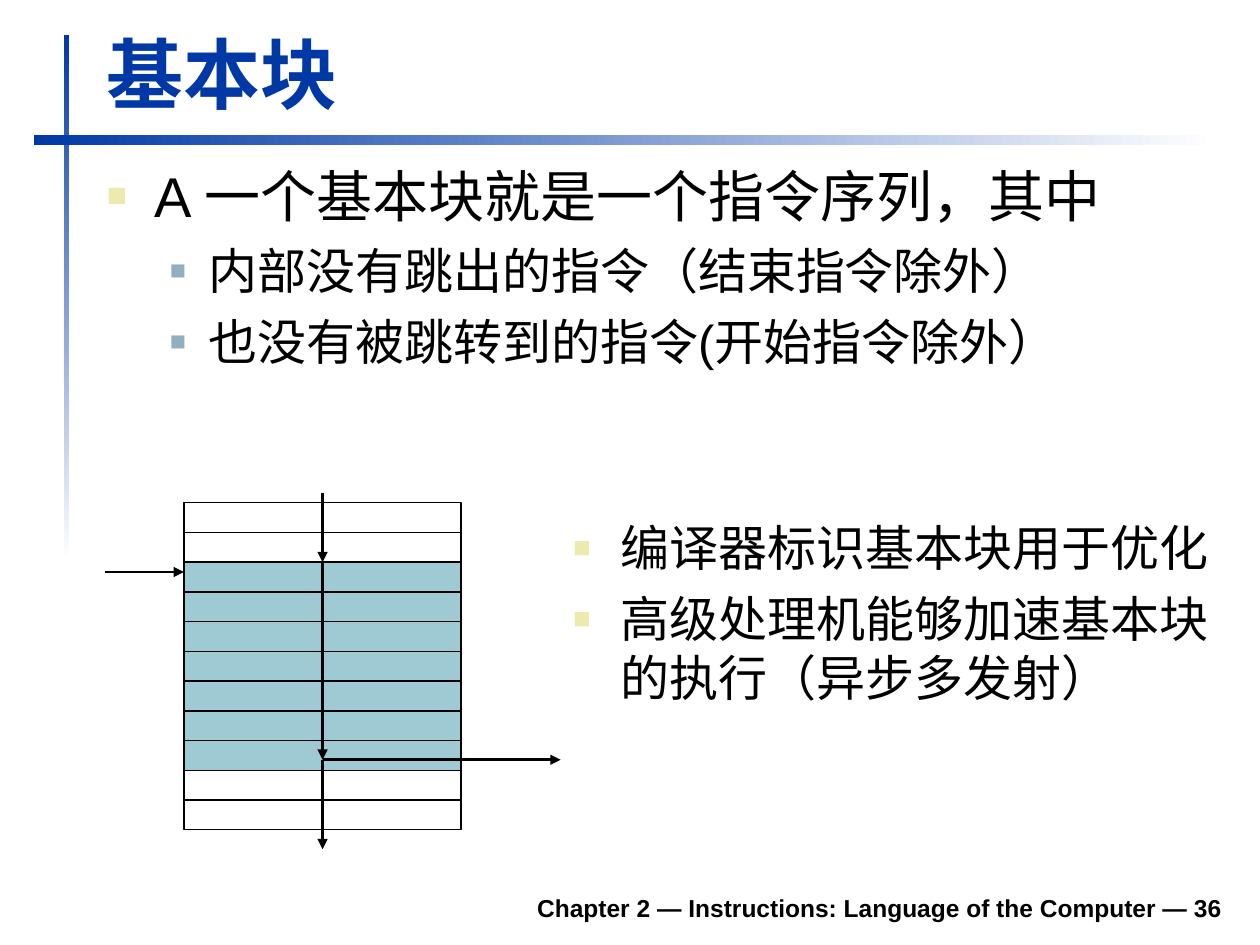
from lxml import etree
from pptx import Presentation
from pptx import util as u
from pptx.dml.color import RGBColor
from pptx.enum import shapes, text
from pptx.oxml.ns import qn

WIDTH, HEIGHT = 10, 7.5
BLUE, BLACK, TEAL, WHITE = "0039A6", "000000", "9FCAD3", "FFFFFF"

TITLE = {"at": (0.75, 0.16, 9.03, 0.83), "anchor": text.MSO_ANCHOR.BOTTOM}
DEFINITION = {"at": (0.75, 1.23, 9.04, 2.52)}
USES = {"at": (4.45, 4.06, 5.27, 2.6)}
FOOTER = {"at": (1.85, 6.98, 7.95, 0.39), "anchor": text.MSO_ANCHOR.BOTTOM}

STYLES = {
    "title": {"size": 44, "bold": True, "color": BLUE},
    "footer": {"size": 14, "bold": True, "align": text.PP_ALIGN.RIGHT},
    "lead": {"size": 32, "before": 8, "bullet": ("ECEAAC", 60, 0.38, 0.38)},
    "sub": {"size": 28, "before": 7, "level": 1, "bullet": ("91AFBF", 55, 0.81, 0.31)},
    "use": {"size": 28, "before": 7, "bullet": ("ECEAAC", 60, 0.38, 0.38)},
}

TEXTS = [
    (FOOTER, [("footer", "Chapter 2 — Instructions: Language of the Computer — 36")]),
    (TITLE, [("title", "基本块")]),
    (DEFINITION, [
        ("lead", "A 一个基本块就是一个指令序列，其中"),
        ("sub", "内部没有跳出的指令（结束指令除外）"),
        ("sub", "也没有被跳转到的指令(开始指令除外）"),
    ]),
    (USES, [
        ("use", "编译器标识基本块用于优化"),
        ("use", "高级处理机能够加速基本块的执行（异步多发射）"),
    ]),
]

RULES = [((0.51, 0.28, 0.04, 4.17), 270), ((0.27, 1.07, 9.37, 0.08), 0)]

STACK_LEFT, STACK_TOP, STACK_WIDTH, ROW = 1.46, 3.99, 2.2, 0.236
INSTRUCTIONS = [None] * 2 + [TEAL] * 7 + [None] * 2
BLOCK_START = INSTRUCTIONS.index(TEAL)

prs = Presentation()
prs.slide_width, prs.slide_height = u.Inches(WIDTH), u.Inches(HEIGHT)
slide = prs.slides.add_slide(prs.slide_layouts[6])


def rgb(value):
    return RGBColor.from_string(value)


def inches(values):
    return [u.Inches(value) for value in values]


def add_rect(at):
    rect = slide.shapes.add_shape(shapes.MSO_SHAPE.RECTANGLE, *inches(at))
    rect.shadow.inherit = False
    return rect


def add_rule(at, angle):
    rule = add_rect(at)
    rule.line.fill.background()
    rule.fill.gradient()
    rule.fill.gradient_angle = angle
    for stop, color, position in zip(rule.fill.gradient_stops, (BLUE, WHITE), (0, 1)):
        stop.color.rgb, stop.position = rgb(color), position


def add_instruction(row, color):
    cell = add_rect((STACK_LEFT, STACK_TOP + row * ROW, STACK_WIDTH, ROW))
    if color:
        cell.fill.solid()
        cell.fill.fore_color.rgb = rgb(color)
    else:
        cell.fill.background()
    cell.line.color.rgb, cell.line.width = rgb(BLACK), u.Pt(0.75)
    return cell


def add_arrow(start, end):
    arrow = slide.shapes.add_connector(
        shapes.MSO_CONNECTOR.STRAIGHT, *inches(start + end))
    arrow.line.color.rgb, arrow.line.width = rgb(BLACK), u.Pt(1.5)
    etree.SubElement(arrow.line._get_or_add_ln(), qn("a:tailEnd"), type="triangle")
    etree.SubElement(arrow._element.spPr, qn("a:effectLst"))
    return arrow


def add_bullet(paragraph, color, percent, margin, hang):
    props = paragraph._p.get_or_add_pPr()
    props.set("marL", str(u.Inches(margin)))
    props.set("indent", str(-u.Inches(hang)))
    tint = etree.SubElement(props, qn("a:buClr"))
    etree.SubElement(tint, qn("a:srgbClr"), val=color)
    etree.SubElement(props, qn("a:buSzPct"), val=str(percent * 1000))
    etree.SubElement(props, qn("a:buFont"), typeface="Arial")
    etree.SubElement(props, qn("a:buChar"), char="■")


def add_text(place, lines):
    frame = slide.shapes.add_textbox(*inches(place["at"])).text_frame
    frame.word_wrap = True
    frame.vertical_anchor = place.get("anchor", text.MSO_ANCHOR.TOP)
    for index, (kind, words) in enumerate(lines):
        style = STYLES[kind]
        paragraph = frame.add_paragraph() if index else frame.paragraphs[0]
        paragraph.level = style.get("level", 0)
        paragraph.alignment = style.get("align", text.PP_ALIGN.LEFT)
        if "bullet" in style:
            add_bullet(paragraph, *style["bullet"])
        if index:
            paragraph.space_before = u.Pt(style["before"])
        run = paragraph.add_run()
        run.text = words
        formats = {"name": "Arial", "size": u.Pt(style["size"]),
                   "bold": style.get("bold", False)}
        for attribute, value in formats.items():
            setattr(run.font, attribute, value)
        run.font.color.rgb = rgb(style.get("color", BLACK))


for at, angle in RULES:
    add_rule(at, angle)
for place, lines in TEXTS:
    add_text(place, lines)

cells = [add_instruction(row, color) for row, color in enumerate(INSTRUCTIONS)]

middle = STACK_LEFT + STACK_WIDTH / 2
block_top = STACK_TOP + BLOCK_START * ROW
branch = 6.03
flow_in = add_arrow((middle, 3.91), (middle, block_top))
flow_through = add_arrow((middle, block_top), (middle, branch))
add_arrow((middle, branch), (middle, 6.74))
add_arrow((middle, branch), (4.45, branch))
add_arrow((0.83, 4.54), (STACK_LEFT, 4.54))
flow_in.end_connect(cells[BLOCK_START], 0)
flow_through.begin_connect(cells[BLOCK_START], 0)

prs.save("out.pptx")
